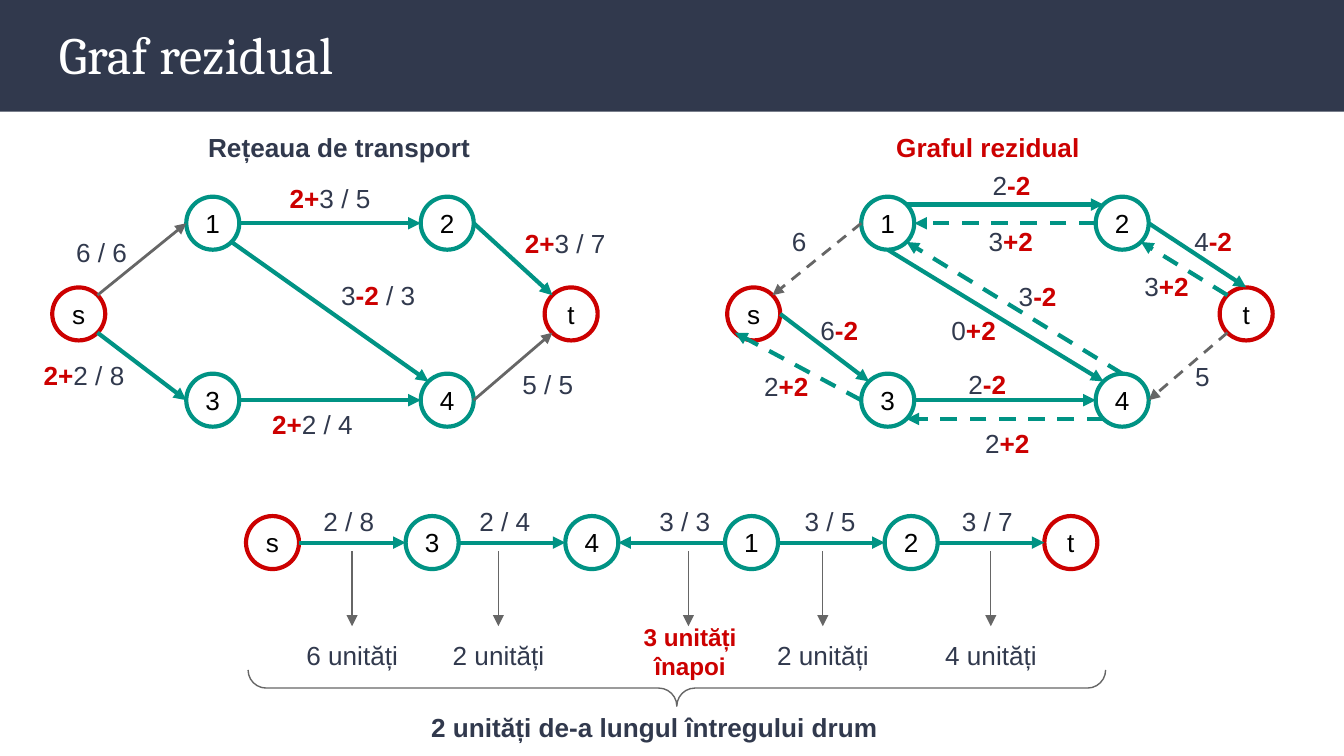
from dataclasses import dataclass
from math import sqrt

from pptx import Presentation
from pptx.dml.color import RGBColor
from pptx.enum.dml import MSO_LINE
from pptx.enum.shapes import MSO_CONNECTOR, MSO_SHAPE
from pptx.enum.text import MSO_ANCHOR, MSO_AUTO_SIZE, PP_ALIGN
from pptx.oxml.ns import qn
from pptx.util import Pt

RECTANGLE, OVAL, BRACE = MSO_SHAPE.RECTANGLE, MSO_SHAPE.OVAL, MSO_SHAPE.LEFT_BRACE
STRAIGHT, DASH = MSO_CONNECTOR.STRAIGHT, MSO_LINE.DASH
LEFT, CENTER = PP_ALIGN.LEFT, PP_ALIGN.CENTER
MIDDLE, GROW = MSO_ANCHOR.MIDDLE, MSO_AUTO_SIZE.SHAPE_TO_FIT_TEXT


@dataclass(frozen=True)
class Theme:
    navy: str = "31394D"
    teal: str = "009384"
    red: str = "CC0000"
    grey: str = "666666"
    black: str = "000000"
    white: str = "FFFFFF"
    heading_font: str = "Cambria"
    body_font: str = "Arial"
    title: int = 28
    body: int = 14
    small: int = 13
    thick: float = 2.25
    medium: float = 1.5
    thin: float = 0.75


DIAMETER = 28.4
RADIUS = DIAMETER / 2
DIAGONAL = RADIUS / sqrt(2)
SITES = {
    "n": (0, -RADIUS), "s": (0, RADIUS), "w": (-RADIUS, 0), "e": (RADIUS, 0),
    "nw": (-DIAGONAL, -DIAGONAL), "ne": (DIAGONAL, -DIAGONAL),
    "sw": (-DIAGONAL, DIAGONAL), "se": (DIAGONAL, DIAGONAL),
}


class GraphSlide:
    def __init__(self, slide, theme):
        self.slide, self.theme = slide, theme
        # Edge kinds: colour, width, dashed
        self.edge_styles = {
            "flow": (theme.teal, theme.thick, False),
            "back": (theme.teal, theme.thick, True),
            "full": (theme.grey, theme.medium, False),
            "full back": (theme.grey, theme.medium, True),
            "note": (theme.grey, theme.thin, False),
        }

    def font(self, run, size, color, bold=False, name=None):
        run.font.name = name or self.theme.body_font
        run.font.size, run.font.bold = Pt(size), bold
        run.font.color.rgb = RGBColor.from_string(color)

    def shape(self, kind, left, top, width, height, fill=None, line=None, weight=1):
        shape = self.slide.shapes.add_shape(kind, Pt(left), Pt(top), Pt(width), Pt(height))
        shape.shadow.inherit = False
        for paint, color in ((shape.fill, fill), (shape.line.fill, line)):
            if color:
                paint.solid()
                paint.fore_color.rgb = RGBColor.from_string(color)
            else:
                paint.background()
        if line:
            shape.line.width = Pt(weight)
        return shape

    def text(self, content, left, top, width, height=31.7, align=CENTER,
             size=None, color=None, bold=False, name=None):
        """Parts between asterisks are bold and red."""
        box = self.slide.shapes.add_textbox(Pt(left), Pt(top), Pt(width), Pt(height))
        frame = box.text_frame
        frame.word_wrap, frame.auto_size = True, GROW
        frame.margin_left = frame.margin_right = Pt(7.2)
        frame.margin_top = frame.margin_bottom = Pt(7.2)
        frame.text = content.replace("*", "") if "*" not in content else ""
        if "*" in content:
            for index, part in enumerate(content.split("*")):
                if part:
                    change = index % 2 == 1
                    run = frame.paragraphs[0].add_run()
                    run.text = part
                    self.font(run, self.theme.body,
                              self.theme.red if change else self.theme.navy, change)
        else:
            for paragraph in frame.paragraphs:
                for run in paragraph.runs:
                    self.font(run, size or self.theme.body,
                              color or self.theme.navy, bold, name)
        for paragraph in frame.paragraphs:
            paragraph.alignment = align
        return frame

    def node(self, label, x, y):
        color = self.theme.red if label in "st" else self.theme.teal
        circle = self.shape(OVAL, x - RADIUS, y - RADIUS, DIAMETER, DIAMETER,
                            line=color, weight=self.theme.thick)
        frame = circle.text_frame
        frame.margin_left = frame.margin_right = Pt(1.4)
        frame.margin_top = frame.margin_bottom = Pt(1.4)
        frame.vertical_anchor = MIDDLE
        frame.text = label
        frame.paragraphs[0].alignment = CENTER
        self.font(frame.paragraphs[0].runs[0], self.theme.body, self.theme.black)

    def arrow(self, start, end, style):
        color, weight, dashed = self.edge_styles[style]
        arrow = self.slide.shapes.add_connector(STRAIGHT, *map(Pt, (*start, *end)))
        arrow.line.color.rgb = RGBColor.from_string(color)
        arrow.line.width = Pt(weight)
        if dashed:
            arrow.line.dash_style = DASH
        properties = arrow._element.spPr
        outline = properties.find(qn("a:ln"))
        outline.append(outline.makeelement(qn("a:tailEnd"), {"type": "triangle"}))
        properties.append(properties.makeelement(qn("a:effectLst"), {}))

    def graph(self, nodes, edges):
        """Draw nodes at their centres and edges such as "s.ne > 1.w"."""
        for label, (x, y) in nodes.items():
            self.node(label, x, y)
        for route, style in edges:
            ends = []
            for end in route.split(" > "):
                label, site = end.split(".")
                ends.append([c + d for c, d in zip(nodes[label], SITES[site])])
            self.arrow(*ends, style)


def main():
    deck = Presentation()
    deck.slide_width, deck.slide_height = Pt(720), Pt(405)
    theme = Theme()
    page = GraphSlide(deck.slides.add_slide(deck.slide_layouts[6]), theme)

    # Header
    page.shape(RECTANGLE, 0, 0, 720, 59.8, fill=theme.navy)
    title = page.text("Graf rezidual", 24.5, 4.3, 671, 49, LEFT,
                      theme.title, theme.white, name=theme.heading_font)
    title.auto_size = MSO_AUTO_SIZE.NONE
    title.vertical_anchor = MIDDLE

    # Transport network and residual graph share one layout
    network = {"s": (42.2, 168.2), "1": (114, 119.6), "2": (239.6, 119.6),
               "3": (114, 214.4), "4": (239.6, 214.4), "t": (306, 168.2)}
    residual = {label: (x + 361.6, y) for label, (x, y) in network.items()}
    page.graph(network, [
        ("s.ne > 1.w", "full"), ("1.e > 2.w", "flow"), ("2.e > t.nw", "flow"),
        ("s.se > 3.w", "flow"), ("3.e > 4.w", "flow"), ("4.e > t.sw", "full"),
        ("1.se > 4.nw", "flow")])
    page.graph(residual, [
        ("s.e > 3.nw", "flow"), ("3.w > s.sw", "back"), ("1.w > s.ne", "full back"),
        ("4.sw > 3.se", "back"), ("4.n > 1.se", "back"), ("2.w > 1.e", "back"),
        ("t.nw > 2.se", "back"), ("t.sw > 4.e", "full back"), ("3.e > 4.w", "flow"),
        ("1.ne > 2.nw", "flow"), ("2.e > t.n", "flow"), ("1.s > 4.nw", "flow")])

    # Graph headings
    page.text("Rețeaua de transport", 104.4, 63.4, 157, align=LEFT, bold=True)
    page.text("Graful rezidual", 473, 63.4, 114.5, align=LEFT, color=theme.red, bold=True)

    # Edge labels: text, left, top, width
    for label in [
        ("*2+*3 / 5", 146.2, 90.7, 61.2), ("*2+*2 / 8", 14.4, 185.3, 61.2),
        ("*2+*3 / 7", 272.2, 114.5, 61.2), ("3*-2* / 3", 172, 142.6, 61.2),
        ("*2+*2 / 4", 136.8, 211.7, 61.2), ("6 / 6", 33.1, 119.5, 42.6),
        ("5 / 5", 272.2, 190.1, 42.6),
        ("6", 416.2, 113.8, 23.8), ("2*+2*", 401.8, 191.5, 39),
        ("6*-2*", 419, 161.3, 61.2), ("2*+2*", 516.2, 221.8, 46.8),
        ("3*-2*", 536.4, 143.3, 39), ("3*+2*", 522, 113.8, 39),
        ("3*+2*", 605.5, 137.5, 39), ("5", 632.2, 185.8, 23.8),
        ("2*-2*", 507.6, 190.1, 42.6), ("2*-2*", 524.2, 83.5, 35.4),
        ("4*-2*", 632.2, 113.8, 35.4), ("0*+2*", 498.2, 161.3, 46.8),
    ]:
        page.text(*label)

    # Augmenting path
    path_nodes = {label: (146 + 85.54 * step, 290.7) for step, label in enumerate("s3412t")}
    page.graph(path_nodes, [
        (route, "flow") for route in
        ("s.e > 3.w", "3.e > 4.w", "1.w > 4.e", "1.e > 2.w", "2.e > t.w")])

    # Flow on each step and the units it allows
    for flow, flow_left, arrow_x, units in [
        ("2 / 8", 165.6, 188.6, "6 unități"), ("2 / 4", 249.1, 267, "2 unități"),
        ("3 / 3", 345.6, 368.8, "3 unități\nînapoi"), ("3 / 5", 423.4, 440.8, "2 unități"),
        ("3 / 7", 507.6, 530.8, "4 unități"),
    ]:
        page.text(flow, flow_left, 263.5, 42.6)
        page.arrow((arrow_x, 295.2), (arrow_x, 335.5), "note")
        if "\n" in units:
            page.text(units, arrow_x - 36.2, 326.2, 74.2, 46,
                      size=theme.small, color=theme.red, bold=True)
        else:
            page.text(units, arrow_x - 32, 335.5, 64.2)

    # Total along the path
    brace = page.shape(BRACE, 352.9, 138.9, 19.4, 459.4, line=theme.grey, weight=theme.thin)
    brace.adjustments[0] = brace.adjustments[1] = 0.5
    brace.rotation = 270
    page.text("2 unități de-a lungul întregului drum", 223.9, 373.7, 261.4, align=LEFT, bold=True)

    deck.save("out.pptx")


if __name__ == "__main__":
    main()
